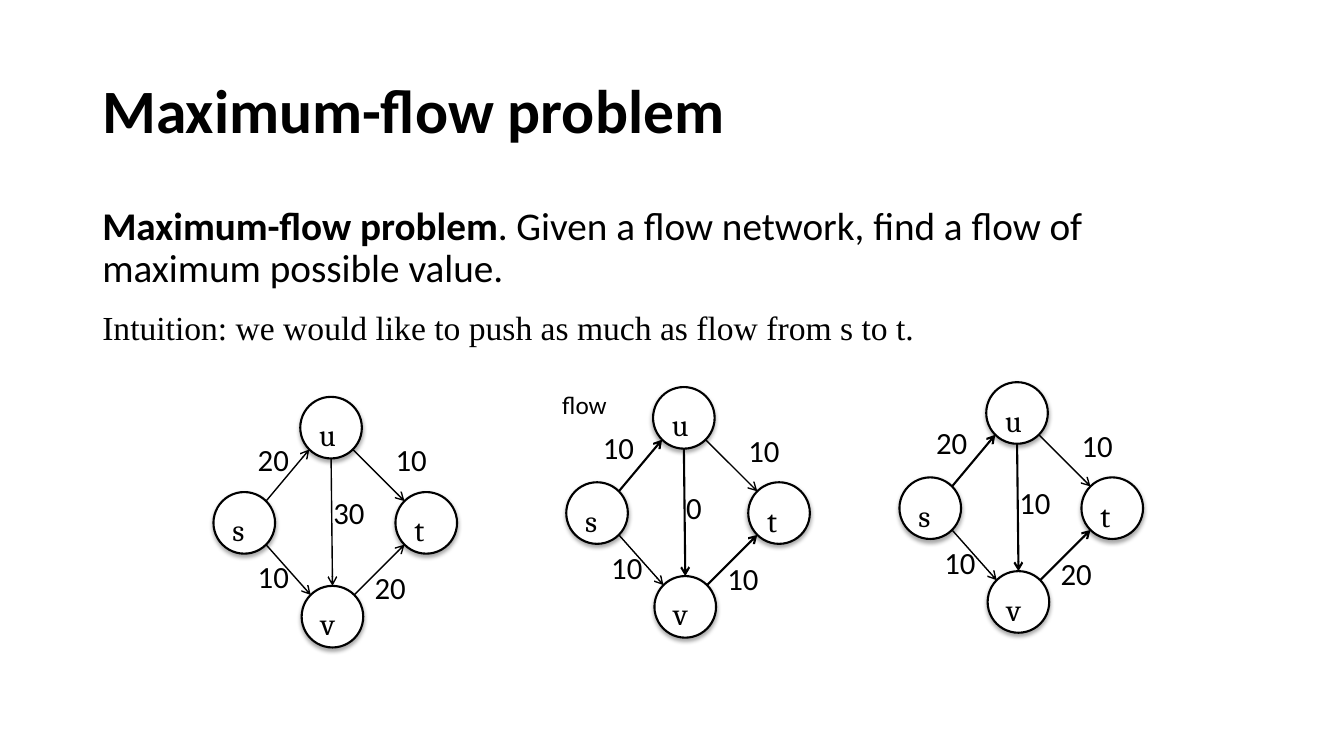
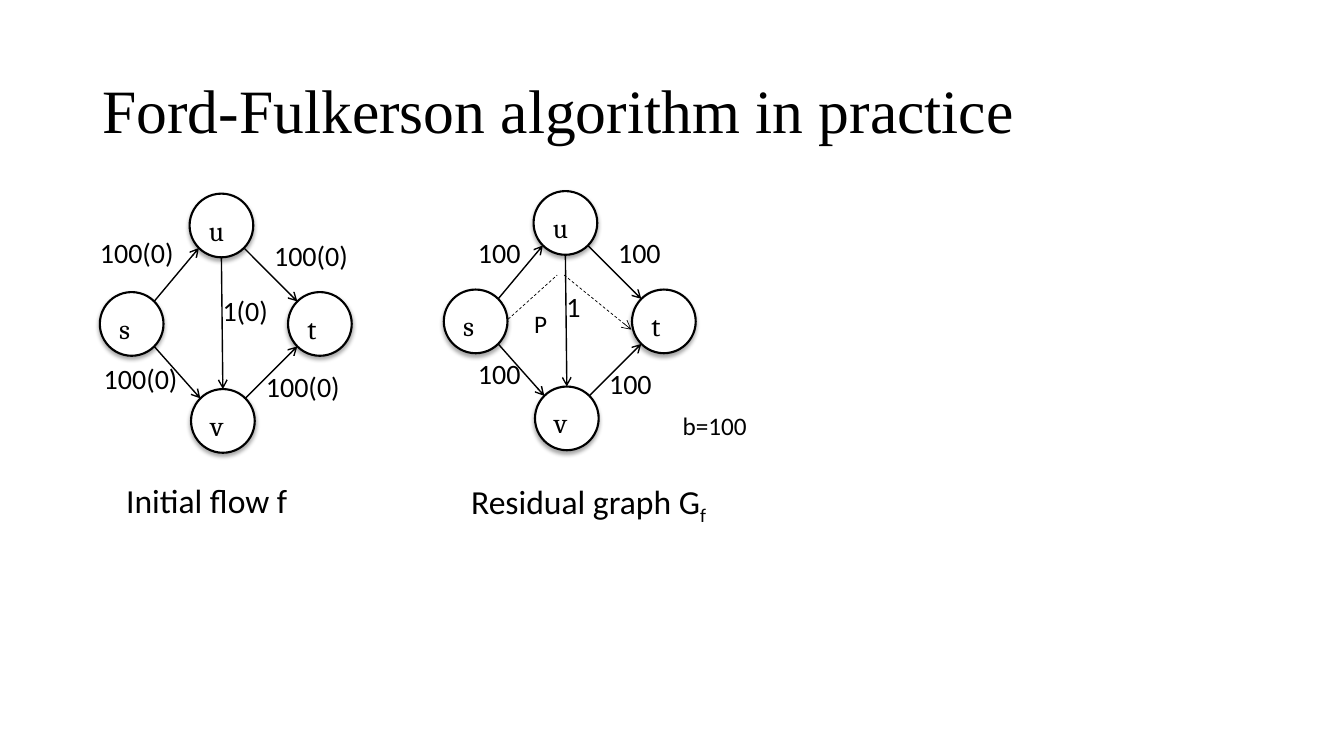
"""Build two slides on maximum flow and the Ford-Fulkerson algorithm."""

from dataclasses import dataclass, field
from math import sqrt
from typing import NamedTuple

from lxml.etree import SubElement
from pptx import Presentation
from pptx.dml.color import RGBColor
from pptx.enum.dml import MSO_LINE
from pptx.enum.shapes import MSO_CONNECTOR, MSO_SHAPE
from pptx.enum.text import MSO_ANCHOR, PP_ALIGN
from pptx.oxml.ns import qn
from pptx.shapes.autoshape import Shape
from pptx.shapes.shapetree import GroupShapes
from pptx.slide import Slide
from pptx.text.text import TextFrame
from pptx.util import Pt


@dataclass(frozen=True)
class Theme:
    """Colours, fonts, type sizes and line widths of the deck."""

    ink: RGBColor = RGBColor(0x00, 0x00, 0x00)
    paper: RGBColor = RGBColor(0xFF, 0xFF, 0xFF)
    sans: str = "Calibri"
    serif: str = "Times New Roman"
    node_font: str = "Cambria"
    title_size: float = 44
    body_size: float = 28
    caption_size: float = 24
    note_size: float = 18
    thin: float = 1
    thick: float = 1.5
    hairline: float = 0.5
    node_inset: float = 7.2


THEME = Theme()


class Point(NamedTuple):
    """A position in points."""

    x: float
    y: float


class Box(NamedTuple):
    """A rectangle in points."""

    left: float
    top: float
    width: float
    height: float


@dataclass(frozen=True)
class TextRun:
    """A stretch of text with one style."""

    text: str
    size: float
    font: str = THEME.sans
    bold: bool = False
    subscript: bool = False


@dataclass(frozen=True)
class TextBlock:
    """A one-paragraph text box."""

    box: Box
    runs: tuple[TextRun, ...]
    wrap: bool = False
    line_spacing: float = 1.0
    anchor: MSO_ANCHOR = MSO_ANCHOR.TOP


class EdgeLabel(NamedTuple):
    """An edge value placed relative to its graph."""

    text: str
    left: float
    top: float
    width: float


@dataclass(frozen=True)
class FlowGraph:
    """A four-node flow network with labelled edges."""

    origin: Point
    diameter: float
    size: float
    labels: tuple[EdgeLabel, ...]
    thick_edges: frozenset[str] = field(default_factory=frozenset)


BASE_DIAMETER = 44
NODE_OFFSETS = {
    "u": Point(62, 0),
    "t": Point(130, 68),
    "s": Point(0, 68),
    "v": Point(63, 135),
}
DIAGONAL = sqrt(0.5)
EDGE_DIRECTIONS = {
    "su": Point(DIAGONAL, -DIAGONAL),
    "sv": Point(DIAGONAL, DIAGONAL),
    "ut": Point(DIAGONAL, DIAGONAL),
    "vt": Point(DIAGONAL, -DIAGONAL),
    "uv": Point(0, 1),
}


def write_runs(frame: TextFrame, runs: tuple[TextRun, ...], line_spacing: float = 1.0) -> None:
    """Fill the first paragraph of a frame with styled runs."""
    paragraph = frame.paragraphs[0]
    paragraph.alignment = PP_ALIGN.LEFT
    paragraph.line_spacing = line_spacing
    for item in runs:
        run = paragraph.add_run()
        run.text = item.text
        run.font.name = item.font
        run.font.size = Pt(item.size)
        run.font.bold = item.bold
        run.font.color.rgb = THEME.ink
        if item.subscript:
            run.font._element.set("baseline", "-25000")


def add_text(shapes: GroupShapes, block: TextBlock) -> None:
    """Add a text box."""
    frame = shapes.add_textbox(*map(Pt, block.box)).text_frame
    frame.word_wrap = block.wrap
    frame.vertical_anchor = block.anchor
    write_runs(frame, block.runs, block.line_spacing)


def add_title(slide: Slide, text: str, font: str, bold: bool = False) -> None:
    """Add the slide title in its shared place."""
    run = TextRun(text, THEME.title_size, font, bold)
    add_text(slide.shapes, TextBlock(Box(66, 29, 828, 104), (run,), True, 0.9, MSO_ANCHOR.MIDDLE))


def add_soft_shadow(shape: Shape) -> None:
    """Give a shape a short shadow below it."""
    shape.shadow.inherit = False
    effects = shape._element.spPr.find(qn("a:effectLst"))
    shadow = SubElement(
        effects, qn("a:outerShdw"), blurRad=str(Pt(3)), dist=str(Pt(2)), dir="5400000", rotWithShape="0"
    )
    colour = SubElement(shadow, qn("a:srgbClr"), val=str(THEME.ink))
    SubElement(colour, qn("a:alpha"), val="35000")


def add_node(shapes: GroupShapes, name: str, box: Box, size: float) -> None:
    """Add a round graph node with its name."""
    node = shapes.add_shape(MSO_SHAPE.OVAL, *map(Pt, box))
    node.fill.solid()
    node.fill.fore_color.rgb = THEME.paper
    node.line.color.rgb = THEME.ink
    node.line.width = Pt(THEME.thick)
    add_soft_shadow(node)
    frame = node.text_frame
    frame.vertical_anchor = MSO_ANCHOR.TOP
    inset = Pt(THEME.node_inset)
    frame.margin_left = frame.margin_top = frame.margin_right = frame.margin_bottom = inset
    write_runs(frame, (TextRun(name, size, THEME.node_font),))


def add_line(
    shapes: GroupShapes, start: Point, end: Point, width: float, arrow: bool = True, dashed: bool = False
) -> None:
    """Add a straight line, with an arrowhead at its end if asked."""
    line = shapes.add_connector(MSO_CONNECTOR.STRAIGHT, *map(Pt, (*start, *end)))
    line.line.color.rgb = THEME.ink
    line.line.width = Pt(width)
    if dashed:
        line.line.dash_style = MSO_LINE.DASH
    properties = line._element.spPr
    if arrow:
        SubElement(properties.find(qn("a:ln")), qn("a:tailEnd"), type="arrow")
    SubElement(properties, qn("a:effectLst"))


def add_graph(slide: Slide, graph: FlowGraph) -> None:
    """Add a grouped flow network: nodes, edges and edge values."""
    shapes = slide.shapes.add_group_shape().shapes
    scale = graph.diameter / BASE_DIAMETER
    radius = graph.diameter / 2
    centres = {}
    for name, offset in NODE_OFFSETS.items():
        left = graph.origin.x + offset.x * scale
        top = graph.origin.y + offset.y * scale
        centres[name] = Point(left + radius, top + radius)
        add_node(shapes, name, Box(left, top, graph.diameter, graph.diameter), graph.size)
    for edge, direction in EDGE_DIRECTIONS.items():
        source, target = (centres[name] for name in edge)
        reach = Point(direction.x * radius, direction.y * radius)
        start = Point(source.x + reach.x, source.y + reach.y)
        end = Point(target.x - reach.x, target.y - reach.y)
        add_line(shapes, start, end, THEME.thick if edge in graph.thick_edges else THEME.thin)
    for label in graph.labels:
        box = Box(
            graph.origin.x + label.left, graph.origin.y + label.top, label.width, graph.size * 1.2 + 7.2
        )
        add_text(shapes, TextBlock(box, (TextRun(label.text, graph.size),)))


def flow_labels(su: str, sv: str, vt: str, uv: str, uv_width: float) -> tuple[EdgeLabel, ...]:
    """Return the edge values of a network that carries a flow."""
    return (
        EdgeLabel(su, 19, 26, 36.7),
        EdgeLabel("10", 123, 28, 36.7),
        EdgeLabel(sv, 25, 112, 36.7),
        EdgeLabel(vt, 108, 119.5, 36.7),
        EdgeLabel(uv, 78.5, 69, uv_width),
    )


CAPACITY_LABELS = (
    EdgeLabel("20", 24.5, 27.4, 36.7),
    EdgeLabel("10", 123, 27.4, 36.7),
    EdgeLabel("10", 24.5, 111.6, 36.7),
    EdgeLabel("20", 108, 119.5, 36.7),
    EdgeLabel("30", 78.5, 65.5, 36.7),
)
INITIAL_LABELS = (
    EdgeLabel("100(0)", -7, 26.6, 67.5),
    EdgeLabel("100(0)", 117.4, 28.8, 67.5),
    EdgeLabel("100(0)", -4.3, 116.6, 67.5),
    EdgeLabel("100(0)", 111.6, 122.4, 67.5),
    EdgeLabel("1(0)", 80.6, 67.7, 47.5),
)
RESIDUAL_LABELS = (
    EdgeLabel("100", 17.3, 28, 46),
    EdgeLabel("100", 117.4, 28, 46),
    EdgeLabel("100", 17.3, 114.5, 46),
    EdgeLabel("100", 111, 121.7, 46),
    EdgeLabel("1", 80.6, 67, 24.5),
)
FLOW_EDGES = frozenset({"su", "uv", "vt"})


def build_problem_slide(slide: Slide) -> None:
    """Build the slide that states the maximum-flow problem."""
    add_title(slide, "Maximum-flow problem", THEME.sans, True)
    statement = (
        TextRun("Maximum-flow problem", THEME.body_size, bold=True),
        TextRun(". Given a flow network, find a flow of maximum possible value.", THEME.body_size),
    )
    add_text(slide.shapes, TextBlock(Box(66, 144, 828, 80), statement, True, 0.9))
    intuition = "Intuition: we would like to push as much as flow from s to t."
    run = TextRun(intuition, THEME.caption_size, THEME.serif)
    add_text(slide.shapes, TextBlock(Box(66, 216, 747, 36), (run,), True))
    for graph in (
        FlowGraph(Point(152.5, 283.5), 44, 22, CAPACITY_LABELS),
        FlowGraph(Point(404.5, 276.5), 44, 22, flow_labels("10", "10", "10", "0", 25.6), FLOW_EDGES),
        FlowGraph(Point(642.5, 273), 44, 22, flow_labels("20", "10", "20", "10", 36.7), FLOW_EDGES),
    ):
        add_graph(slide, graph)
    add_text(slide.shapes, TextBlock(Box(394.5, 274.5, 46.8, 29), (TextRun("flow", THEME.note_size),)))


def build_practice_slide(slide: Slide) -> None:
    """Build the slide that starts the Ford-Fulkerson algorithm."""
    add_title(slide, "Ford-Fulkerson algorithm in practice", THEME.serif)
    add_graph(slide, FlowGraph(Point(71.3, 138.3), 45.5, 20, INITIAL_LABELS))
    add_graph(slide, FlowGraph(Point(317, 136.5), 45.5, 20, RESIDUAL_LABELS))
    add_line(slide.shapes, Point(363, 228), Point(398, 196.5), THEME.hairline, arrow=False, dashed=True)
    add_line(slide.shapes, Point(403, 196.5), Point(451, 235.5), THEME.hairline, dashed=True)
    residual = (
        TextRun("Residual graph G", THEME.caption_size),
        TextRun("f", THEME.caption_size, subscript=True),
    )
    for block in (
        TextBlock(Box(83, 339, 131, 36), (TextRun("Initial flow f", THEME.caption_size),)),
        TextBlock(Box(329.5, 340, 184.3, 36), residual),
        TextBlock(Box(480.5, 289.5, 61, 29), (TextRun("b=100", THEME.note_size),)),
        TextBlock(Box(374.5, 216.5, 23.8, 29), (TextRun("P", THEME.note_size),)),
    ):
        add_text(slide.shapes, block)


def main() -> None:
    """Create and save the presentation."""
    presentation = Presentation()
    presentation.slide_width, presentation.slide_height = Pt(960), Pt(540)
    blank = presentation.slide_layouts[6]
    for build in (build_problem_slide, build_practice_slide):
        build(presentation.slides.add_slide(blank))
    presentation.save("out.pptx")


if __name__ == "__main__":
    main()
